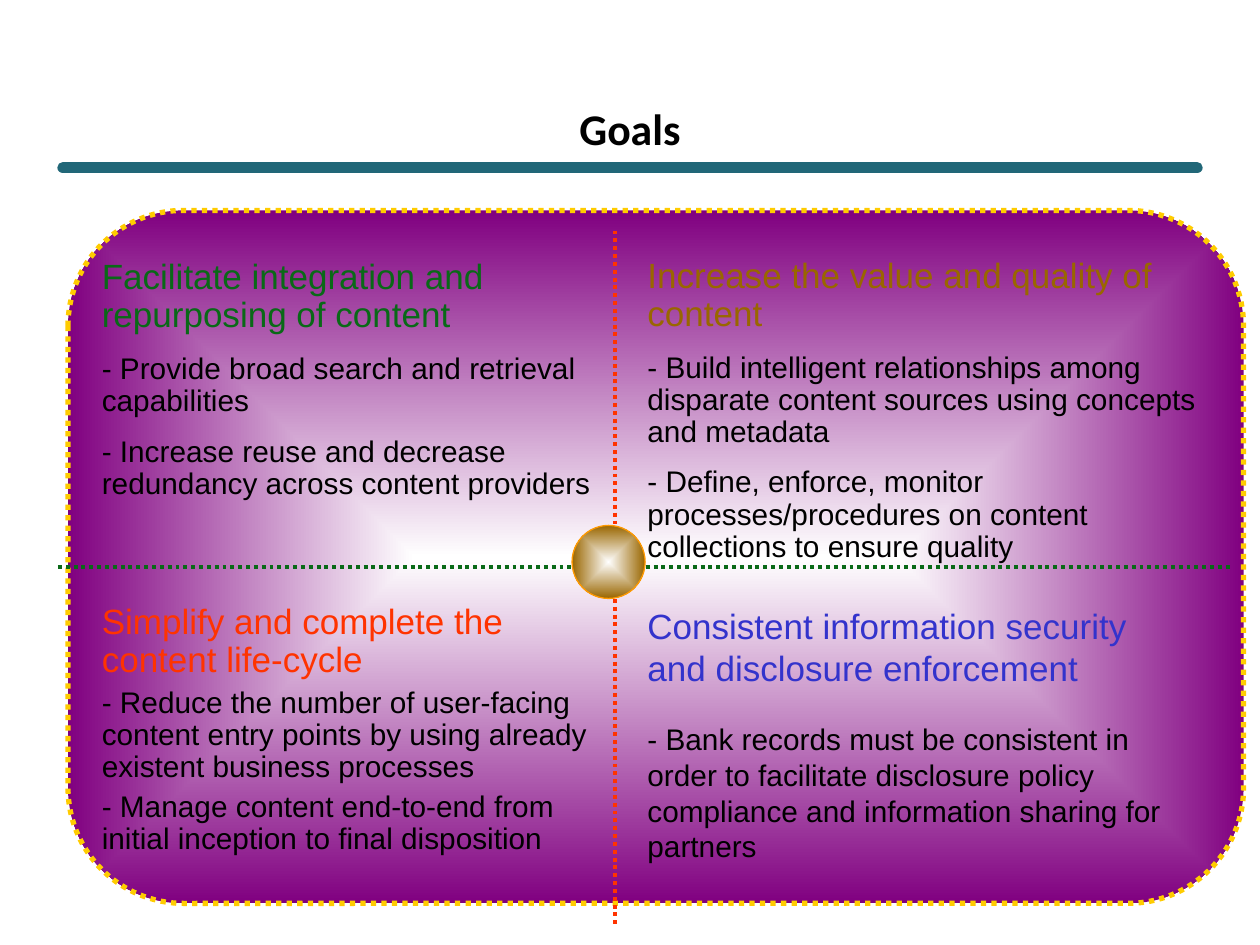
from lxml import etree
from pptx import Presentation, util as u
from pptx.dml.color import RGBColor
from pptx.enum import dml, shapes, text
from pptx.oxml import parse_xml
from pptx.oxml.ns import nsdecls, qn

BLACK = RGBColor(0, 0, 0)
WHITE = RGBColor(0xFF, 0xFF, 0xFF)
TEAL = RGBColor(0x21, 0x67, 0x78)
PURPLE = RGBColor(0x80, 0, 0x80)
YELLOW = RGBColor(0xFF, 0xCC, 0)
RED = RGBColor(0xFF, 0x33, 0)
GREEN = RGBColor(0x09, 0x69, 0x17)
BROWN = RGBColor(0x99, 0x66, 0)
ORANGE = RGBColor(0xFF, 0x99, 0)
BLUE = RGBColor(0x33, 0x33, 0xCC)
DOT = dml.MSO_LINE.ROUND_DOT
LEFT, RIGHT = 0.71, 5.04
GOALS = [
    ((LEFT, 2.01, 4.17, 2.02), GREEN, 0.9, 10.6,
     "Facilitate integration and repurposing of content",
     ["- Provide broad search and retrieval capabilities",
      "- Increase reuse and decrease redundancy across content providers"]),
    ((RIGHT, 2, 4.67, 2.53), BROWN, 0.9, 10.6,
     "Increase the value and quality of content",
     ["- Build intelligent relationships among disparate content sources "
      "using concepts and metadata",
      "- Define, enforce, monitor processes/procedures on content "
      "collections to ensure quality"]),
    ((RIGHT, 4.75, 4.5, 2.17), BLUE, 1.0, 18.4,
     "Consistent information security and disclosure enforcement",
     ["- Bank records must be consistent in order to facilitate disclosure "
      "policy compliance and information sharing for partners"]),
    ((LEFT, 4.75, 4.17, 2.1), RED, 0.9, 4.2,
     "Simplify and complete the content life-cycle",
     ["- Reduce the number of user-facing content entry points by using "
      "already existent business processes",
      "- Manage content end-to-end from initial inception to final "
      "disposition"]),
]


def put(obj, vals):
    for key, val in vals.items():
        setattr(obj, key, val)


class Deck:
    """Holds the style and the current slide, and draws each kind of element."""

    def __init__(self, prs):
        self.head = {"name": "Calibri", "size": u.Pt(25), "bold": True}
        self.lead = {"name": "Arial", "size": u.Pt(20)}
        self.body = {"name": "Arial", "size": u.Pt(17)}
        self.slide = prs.slides.add_slide(prs.slide_layouts[5])

    def title(self, words, box):
        shape = self.slide.shapes.title
        put(shape, dict(zip(("left", "top", "width", "height"), map(u.Inches, box))))
        frame = shape.text_frame
        put(frame, {"text": words, "auto_size": text.MSO_AUTO_SIZE.NONE,
                    "vertical_anchor": text.MSO_ANCHOR.MIDDLE})
        para = frame.paragraphs[0]
        para.alignment = text.PP_ALIGN.CENTER
        put(para.font, self.head)
        para.font.color.rgb = BLACK

    def edge(self, line, color, width, dash=None):
        line.color.rgb = color
        put(line, {"width": u.Pt(width), "dash_style": dash})

    def line(self, ends, color, width, dash=None, cap="flat"):
        link = self.slide.shapes.add_connector(
            shapes.MSO_CONNECTOR.STRAIGHT, *map(u.Inches, ends))
        self.edge(link.line, color, width, dash)
        props = link._element.spPr
        props.find(qn("a:ln")).set("cap", cap)
        etree.SubElement(props, qn("a:effectLst"))

    def glow(self, kind, box, color):
        shape = self.slide.shapes.add_shape(kind, *map(u.Inches, box))
        shape.shadow.inherit = False
        shape.fill.gradient()
        for stop, tint in zip(shape.fill.gradient_stops, (WHITE, color)):
            stop.color.rgb = tint
        grad = shape._element.spPr.find(qn("a:gradFill"))
        grad.replace(grad.find(qn("a:lin")), parse_xml(
            f'<a:path {nsdecls("a")} path="rect"><a:fillToRect l="50000" '
            't="50000" r="50000" b="50000"/></a:path>'))
        return shape

    def goal(self, box, color, pitch, gap, lead, items):
        frame = self.slide.shapes.add_textbox(*map(u.Inches, box)).text_frame
        put(frame, {"word_wrap": True,
                    "auto_size": text.MSO_AUTO_SIZE.SHAPE_TO_FIT_TEXT})
        rows = [(lead, self.lead, color, 0)]
        rows += [(item, self.body, BLACK, gap) for item in items]
        for num, (words, face, tint, space) in enumerate(rows):
            para = frame.add_paragraph() if num else frame.paragraphs[0]
            put(para, {"text": words, "line_spacing": pitch,
                       "space_before": u.Pt(space)})
            put(para.font, face)
            para.font.color.rgb = tint


def main():
    prs = Presentation()
    put(prs, {"slide_width": u.Inches(10), "slide_height": u.Inches(7.5)})
    deck = Deck(prs)
    deck.title("Goals", (0.5, 0.83, 9, 0.38))
    deck.line((0.5, 1.33, 9.5, 1.33), TEAL, 6.5, cap="rnd")
    panel = deck.glow(shapes.MSO_SHAPE.ROUNDED_RECTANGLE,
                      (0.54, 1.67, 9.33, 5.5), PURPLE)
    deck.edge(panel.line, YELLOW, 3, DOT)
    deck.line((4.88, 1.83, 4.88, 7.33), RED, 2.25, DOT)
    deck.line((0.46, 4.5, 9.79, 4.5), GREEN, 2.25, DOT)
    for goal in GOALS:
        deck.goal(*goal)
    hub = deck.glow(shapes.MSO_SHAPE.OVAL, (4.54, 4.17, 0.58, 0.58), BROWN)
    deck.edge(hub.line, ORANGE, 0.75)
    prs.save("out.pptx")


if __name__ == "__main__":
    main()
